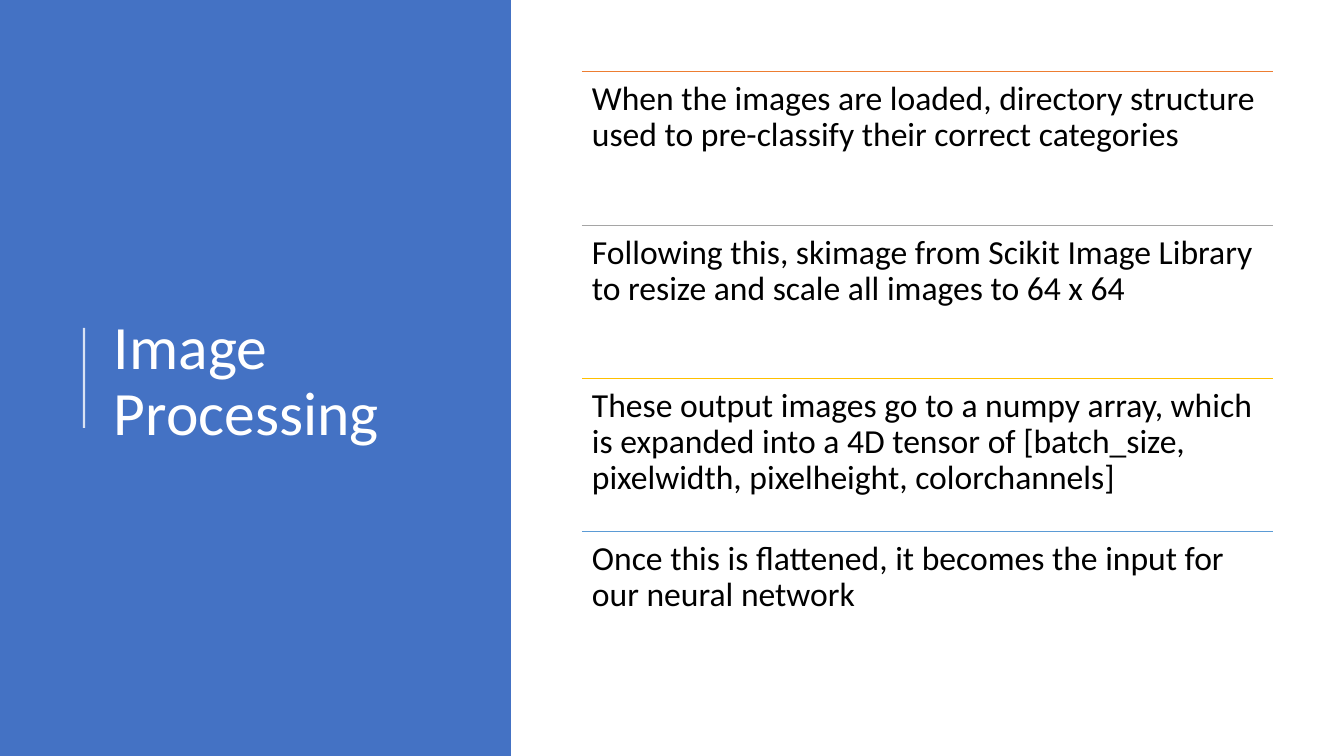
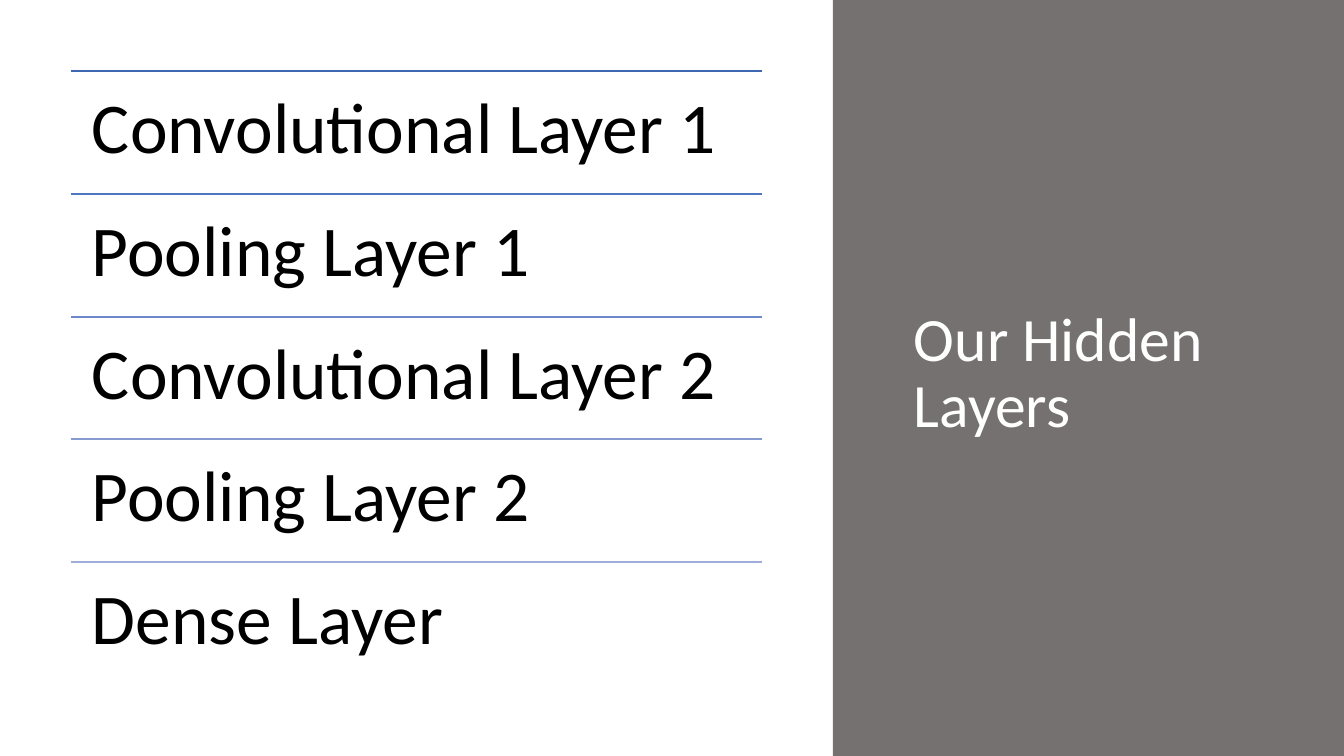
from lxml import etree
from pptx import Presentation
from pptx.dml.color import RGBColor
from pptx.enum.shapes import MSO_CONNECTOR, MSO_SHAPE
from pptx.enum.text import MSO_ANCHOR
from pptx.oxml.ns import qn
from pptx.util import Emu, Pt

RECT = MSO_SHAPE.RECTANGLE
STRAIGHT = MSO_CONNECTOR.STRAIGHT
TOP, MIDDLE = MSO_ANCHOR.TOP, MSO_ANCHOR.MIDDLE

WIDTH, HEIGHT = 1344, 756
PANEL_WIDTH = 511
ROWS_TOP, ROWS_WIDTH, ROWS_HEIGHT = 71, 691, 614


def px(n):
    """Turn pixels into EMU."""
    return Emu(round(n * 12192000 / WIDTH))


def rgb(value):
    """Turn a hex string into a colour."""
    return RGBColor.from_string(value)


class Deck:
    """Hold the shared style and the current slide."""

    FONT = "Calibri"
    WHITE = "FFFFFF"
    BLACK = "000000"
    TITLE_SIZE = 44
    LINE_SPACING = 0.9

    def __init__(self):
        """Start an empty presentation."""
        self.prs = Presentation()
        self.prs.slide_width, self.prs.slide_height = px(WIDTH), px(HEIGHT)
        self.slide = None

    def add_slide(self):
        """Add a blank slide and make it current."""
        self.slide = self.prs.slides.add_slide(self.prs.slide_layouts[6])

    def panel(self, x, color):
        """Draw the full-height colour panel."""
        sp = self.slide.shapes.add_shape(RECT, px(x), 0, px(PANEL_WIDTH), px(HEIGHT))
        sp.shadow.inherit = False
        sp.fill.solid()
        sp.fill.fore_color.rgb = rgb(color)
        sp.line.fill.background()

    def line(self, x1, y1, x2, y2, color, weight, opacity=100):
        """Draw a straight line."""
        cxn = self.slide.shapes.add_connector(STRAIGHT, px(x1), px(y1), px(x2), px(y2))
        cxn.line.color.rgb = rgb(color)
        cxn.line.width = Pt(weight)
        if opacity < 100:
            clr = cxn.line._ln.find(".//" + qn("a:srgbClr"))
            etree.SubElement(clr, qn("a:alpha")).set("val", str(opacity * 1000))
        etree.SubElement(cxn._element.spPr, qn("a:effectLst"))

    def text(self, x, y, w, h, text, size, color, inset, anchor=TOP):
        """Add a wrapped text box."""
        tf = self.slide.shapes.add_textbox(px(x), px(y), px(w), px(h)).text_frame
        tf.word_wrap = True
        tf.vertical_anchor = anchor
        tf.margin_left = tf.margin_right = px(inset[0])
        tf.margin_top = tf.margin_bottom = px(inset[1])
        tf.text = text
        p = tf.paragraphs[0]
        p.line_spacing = self.LINE_SPACING
        font = p.runs[0].font
        font.name, font.size, font.color.rgb = self.FONT, Pt(size), rgb(color)

    def title(self, x, y, w, h, text):
        """Add the panel title."""
        self.text(x, y, w, h, text, self.TITLE_SIZE, self.WHITE, (10, 5), MIDDLE)

    def rows(self, x, items, size, inset, weight):
        """Stack equal rows, each with a rule above its text."""
        pitch = ROWS_HEIGHT / len(items)
        for i, (text, color) in enumerate(items):
            y = ROWS_TOP + round(i * pitch)
            self.line(x, y, x + ROWS_WIDTH, y, color, weight)
            self.text(x, y, ROWS_WIDTH, round(pitch), text, size, self.BLACK,
                      (inset, inset))


def main():
    """Build both slides and save them."""
    deck = Deck()

    deck.add_slide()
    deck.panel(0, "4472C4")
    deck.line(84, 328, 84, 428, deck.WHITE, 1.5, opacity=80)
    deck.title(104, 79, 372, 607, "Image Processing")
    deck.rows(582, [
        ("When the images are loaded, directory structure used to pre-classify "
         "their correct categories", "ED7D31"),
        ("Following this, skimage from Scikit Image Library to resize and scale "
         "all images to 64 x 64", "A5A5A5"),
        ("These output images go to a numpy array, which is expanded into a 4D "
         "tensor of [batch_size, pixelwidth, pixelheight, colorchannels]", "FFC000"),
        ("Once this is flattened, it becomes the input for our neural network",
         "5B9BD5"),
    ], size=24, inset=10, weight=0.5)

    deck.add_slide()
    deck.panel(WIDTH - PANEL_WIDTH, "767171")
    deck.title(904, 71, 404, 607, "Our Hidden Layers")
    deck.rows(71, [
        ("Convolutional Layer 1", "3E67B2"),
        ("Pooling Layer 1", "5176C0"),
        ("Convolutional Layer 2", "6C88C8"),
        ("Pooling Layer 2", "869BD0"),
        ("Dense Layer", "9FAED8"),
    ], size=51, inset=21, weight=1)

    deck.prs.save("out.pptx")


if __name__ == "__main__":
    main()
